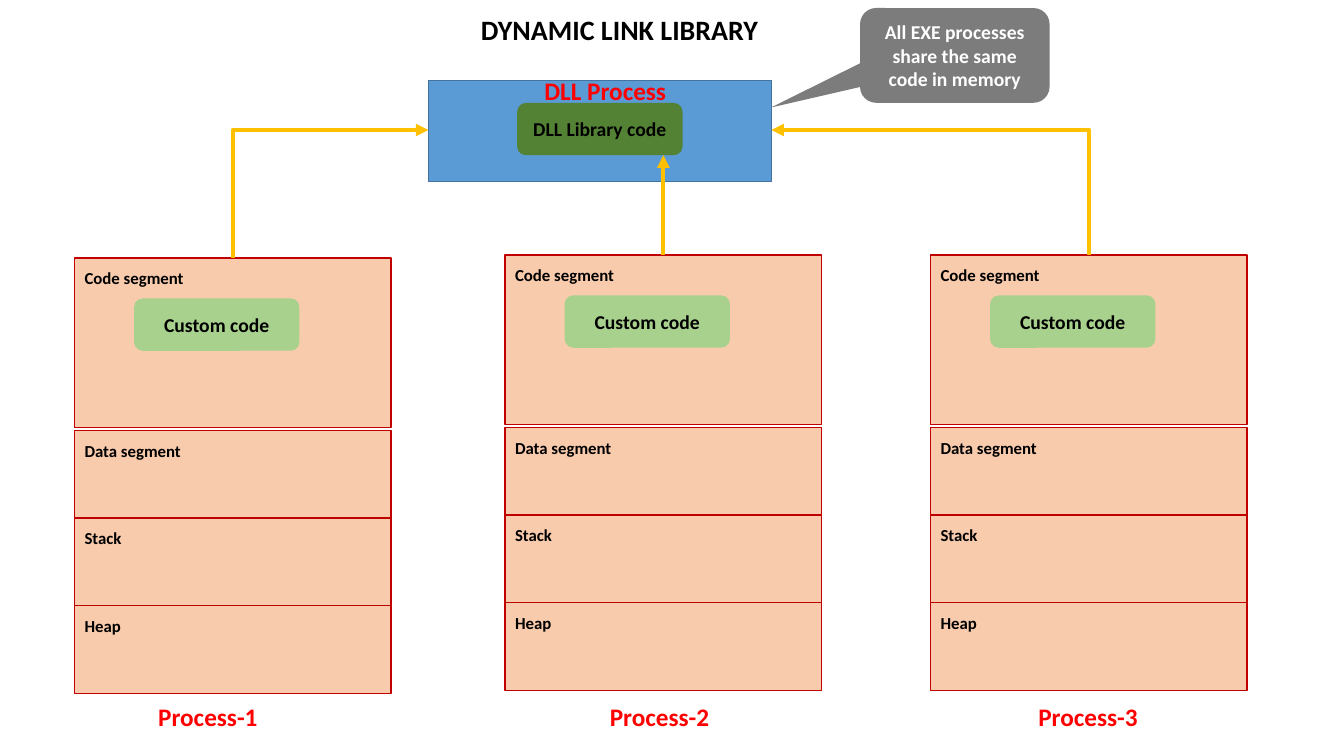
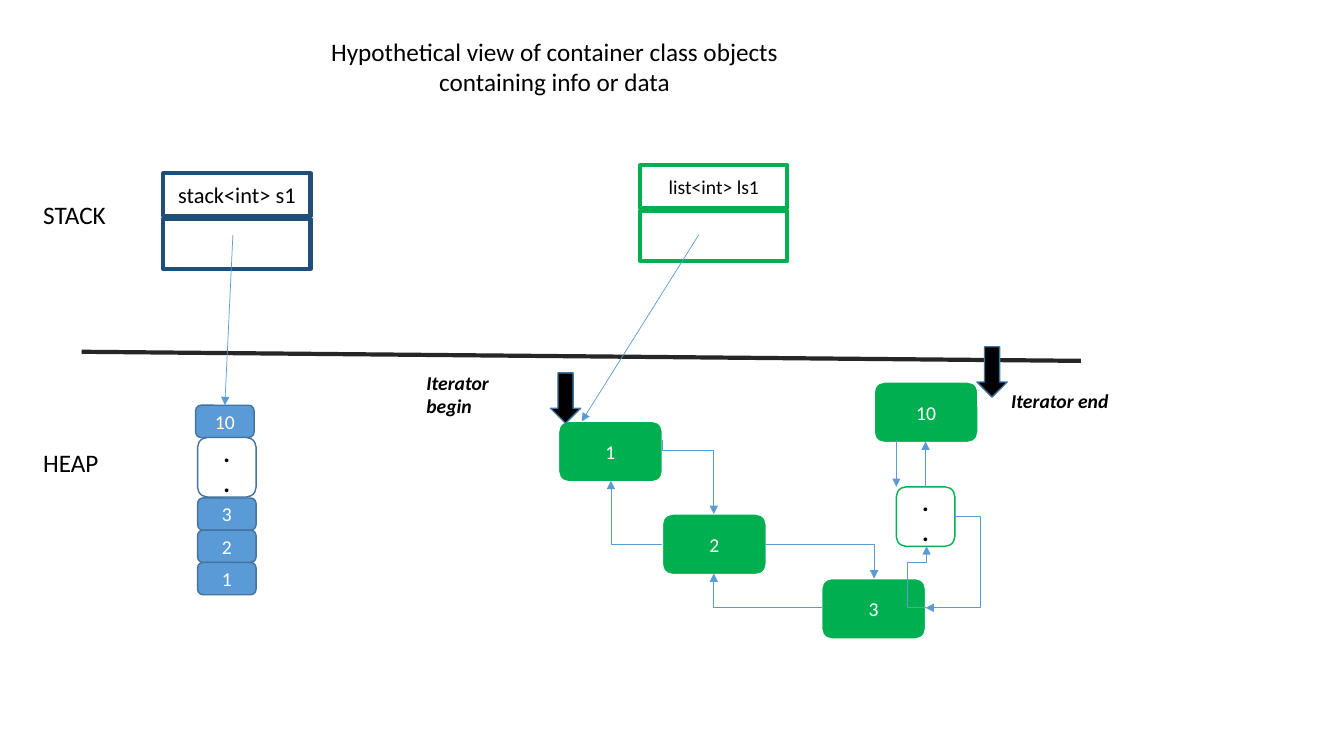
from lxml import etree
from pptx import Presentation
from pptx.dml.color import RGBColor
from pptx.enum.shapes import MSO_CONNECTOR, MSO_SHAPE
from pptx.enum.text import MSO_ANCHOR, MSO_AUTO_SIZE, PP_ALIGN
from pptx.oxml.ns import qn
from pptx.util import Inches, Pt

RECT, ROUND = MSO_SHAPE.RECTANGLE, MSO_SHAPE.ROUNDED_RECTANGLE
CALLOUT, DOWN = MSO_SHAPE.ROUNDED_RECTANGULAR_CALLOUT, MSO_SHAPE.DOWN_ARROW
STRAIGHT, ELBOW = MSO_CONNECTOR.STRAIGHT, MSO_CONNECTOR.ELBOW
LEFT, CENTER = PP_ALIGN.LEFT, PP_ALIGN.CENTER
TOP, MIDDLE = MSO_ANCHOR.TOP, MSO_ANCHOR.MIDDLE
GROW = MSO_AUTO_SIZE.SHAPE_TO_FIT_TEXT

BLACK, WHITE = RGBColor(0, 0, 0), RGBColor(255, 255, 255)
BLUE, BLUE_EDGE = RGBColor(0x5B, 0x9B, 0xD5), RGBColor(0x43, 0x73, 0x9E)
NAVY, CHARCOAL = RGBColor(0x1F, 0x4E, 0x79), RGBColor(0x26, 0x26, 0x26)
PEACH, DARK_RED = RGBColor(0xF8, 0xCB, 0xAD), RGBColor(0xC0, 0, 0)
RED, AMBER = RGBColor(0xFF, 0, 0), RGBColor(0xFF, 0xC0, 0)
LIGHT_GREEN, MOSS = RGBColor(0xA9, 0xD1, 0x8E), RGBColor(0x54, 0x82, 0x35)
GREEN, GREY = RGBColor(0, 0xB0, 0x50), RGBColor(0x7C, 0x7C, 0x7C)

FONT = "Calibri"
SLIDE_WIDTH, SLIDE_HEIGHT = 13.33, 7.5

# Slide 1: processes sharing one library
DLL_TITLE = ("DYNAMIC LINK LIBRARY", (3.82, 0.08, 4.65, 0.44))
DLL_BOX = (4.25, 0.8, 3.4, 1)
CODE_SIZE = (1.64, 0.52)
LIBRARY_AT = (5.13, 1.02)
SHARING_NOTE = "All EXE processes share the same code in memory"
PROCESSES = [  # name, left and top of the segments, left of the name
    ("Process-1", 0.74, 2.56, 1.47),
    ("Process-2", 5.01, 2.53, 5.95),
    ("Process-3", 9.23, 2.53, 10.2),
]
SEGMENT_WIDTH, CODE_HEIGHT, SEGMENT_HEIGHT = 3.14, 1.68, 0.87
SEGMENTS = ["Code segment", "Data segment", "Stack", "Heap"]
CALLS = [  # start, end, first leg is vertical
    ((2.31, 2.56), (4.25, 1.29)),
    ((6.58, 2.53), (6.58, 1.54)),
    ((10.8, 2.53), (7.65, 1.29)),
]

# Slide 2: containers in memory
VIEW_TITLE = ("Hypothetical view of container class objects containing info or data",
              (3.12, 0.31, 4.76, 0.71))
REGIONS = [("STACK", (0.33, 1.93, 1.4, 0.4)), ("HEAP", (0.33, 4.39, 0.96, 0.42))]
DIVIDER = ((0.81, 3.49), (10.72, 3.58))
OBJECTS = [  # declaration, left, top, border, text size
    ("stack<int> s1", 1.62, 1.72, NAVY, 16),
    ("list<int> ls1", 6.35, 1.64, GREEN, 14),
]
STACK_CELL = (0.58, 0.32)
STACK_CELLS = [("10", 1.94, 4.02), ("3", 1.96, 4.94), ("2", 1.96, 5.26), ("1", 1.96, 5.58)]
NODE_SIZE = (1.03, 0.6)
NODES = [("1", 5.54, 4.18), ("2", 6.57, 5.1), ("3", 8.15, 5.74), ("10", 8.67, 3.79)]
DOTS_SIZE = (0.58, 0.59)
DOTS = [(1.96, 4.34, BLUE_EDGE), (8.89, 4.83, GREEN)]
POINTERS = [
    ((2.31, 2.33), (2.23, 4.02)),
    ((6.93, 2.33), (5.77, 4.18)),
    ((8.89, 4.37), (8.89, 4.83)),
    ((9.18, 4.83), (9.18, 4.38)),
]
LINKS = [  # start, end, first leg is vertical, bend positions
    ((6.57, 4.37), (7.08, 5.1), True, [0.14]),
    ((6.57, 5.4), (6.06, 4.77), False, []),
    ((7.6, 5.4), (8.67, 5.74), False, []),
    ((8.15, 6.03), (7.08, 5.69), False, []),
    ((9.18, 6.03), (9.19, 5.42), False, [-18, 0.74]),
    ((9.47, 5.12), (9.18, 6.03), False, [-0.86]),
]
ITERATORS = [  # label, its box, left and top of the arrow
    ("Iterator begin", (4.13, 3.63, 1.18, 0.57), (5.46, 3.7)),
    ("Iterator end", (9.93, 3.81, 1.18, 0.34), (9.69, 3.44)),
]
ARROW_SIZE = (0.3, 0.5)


def inches(values):
    """Turn plain numbers into lengths."""
    return [Inches(value) for value in values]


def write(frame, text, size, color, align, anchor, **style):
    """Fill a text frame, one paragraph for each line of text."""
    frame.word_wrap, frame.vertical_anchor = True, anchor
    for number, line in enumerate(text.split("\n")):
        para = frame.paragraphs[0] if number == 0 else frame.add_paragraph()
        para.alignment = align
        span = para.add_run()
        span.text = line
        span.font.color.rgb = color
        for key, value in {"name": FONT, "size": Pt(size), **style}.items():
            setattr(span.font, key, value)


def label(shapes, text, at, size=18, color=BLACK, align=LEFT, **style):
    """Add a text box."""
    box = shapes.add_textbox(*inches(at))
    write(box.text_frame, text, size, color, align, TOP, **style)
    box.text_frame.auto_size = GROW


def title(page, content, **style):
    """Add the centred heading of a slide."""
    label(page.shapes, *content, align=CENTER, **style)


def block(shapes, kind, at, fill, edge=None, weight=1, text="", size=14,
          color=WHITE, **style):
    """Add a filled shape with optional border and centred text."""
    box = shapes.add_shape(kind, *inches(at))
    box.shadow.inherit = False
    box.fill.solid()
    box.fill.fore_color.rgb = fill
    if edge is None:
        box.line.fill.background()
    else:
        box.line.color.rgb = edge
        box.line.width = Pt(weight)
    if text:
        write(box.text_frame, text, size, color, CENTER, MIDDLE, **style)
    return box


def connect(page, kind, start, end, color, weight, arrow=True):
    """Add a connector without shadow, pointing at its end."""
    line = page.shapes.add_connector(kind, *inches(start + end))
    line.line.color.rgb = color
    line.line.width = Pt(weight)
    if arrow:
        etree.SubElement(line.line._get_or_add_ln(), qn("a:tailEnd"), type="triangle")
    etree.SubElement(line._element.spPr, qn("a:effectLst"))
    return line


def elbow(page, start, end, color, weight, vertical, bends):
    """Add a bent connector; a vertical first leg is a turned horizontal one."""
    turn = 0
    if vertical:
        across, down = end[0] - start[0], end[1] - start[1]
        turn, local = (90, (down, -across)) if down > 0 else (270, (-down, across))
        centre = [(a + b) / 2 for a, b in zip(start, end)]
        start = tuple(c - part / 2 for c, part in zip(centre, local))
        end = tuple(c + part / 2 for c, part in zip(centre, local))
    line = connect(page, ELBOW, start, end, color, weight)
    properties = line._element.spPr
    if turn:
        properties.find(qn("a:xfrm")).set("rot", str(turn * 60000))
    geometry = properties.find(qn("a:prstGeom"))
    geometry.set("prst", f"bentConnector{len(bends) + 2}")
    guides = geometry.find(qn("a:avLst"))
    for number, bend in enumerate(bends, 1):
        etree.SubElement(guides, qn("a:gd"), name=f"adj{number}",
                         fmla=f"val {round(bend * 100000)}")


def process(page, name, left, top, name_left):
    """Add one process: its stacked segments, custom code and name."""
    shapes = page.shapes.add_group_shape().shapes
    for row, segment in enumerate(SEGMENTS):
        y = top + (CODE_HEIGHT + 0.03 + (row - 1) * SEGMENT_HEIGHT if row else 0)
        height = SEGMENT_HEIGHT if row else CODE_HEIGHT
        block(shapes, RECT, (left, y, SEGMENT_WIDTH, height), PEACH, DARK_RED)
        label(shapes, segment, (left, y + 0.05, 1.41, 0.3), 12, bold=True)
    block(shapes, ROUND, (left + 0.59, top + 0.4, *CODE_SIZE), LIGHT_GREEN,
          text="Custom code", color=BLACK, bold=True)
    label(page.shapes, name, (name_left, 6.91, 1.25, 0.4), color=RED, bold=True)


def build_library(page):
    """Draw three processes that call one shared library."""
    shapes = page.shapes
    block(shapes, RECT, DLL_BOX, BLUE, BLUE_EDGE)
    block(shapes, ROUND, (*LIBRARY_AT, *CODE_SIZE), MOSS,
          text="DLL Library code", color=BLACK, bold=True)
    for entry in PROCESSES:
        process(page, *entry)
    title(page, DLL_TITLE, size=20, bold=True)
    label(shapes, "DLL Process", (5.3, 0.7, 1.68, 0.4), color=RED, bold=True)
    for start, end in CALLS:
        bends = [0.5] if start[0] == end[0] else []
        elbow(page, start, end, AMBER, 3, True, bends)
    note = block(shapes, CALLOUT, (8.53, 0.08, 1.88, 0.94), GREY,
                 text=SHARING_NOTE, bold=True)
    for number, value in enumerate((-0.97, 0.55, 0.17)):
        note.adjustments[number] = value


def build_containers(page):
    """Draw a stack and a list with their elements on the heap."""
    shapes = page.shapes
    title(page, VIEW_TITLE)
    for text, at in REGIONS:
        label(shapes, text, at)
    connect(page, STRAIGHT, *DIVIDER, CHARCOAL, 3, arrow=False)
    for text, left, top, edge, size in OBJECTS:
        block(shapes, RECT, (left, top, 1.46, 0.42), WHITE, edge, 3, text, size, BLACK)
        block(shapes, RECT, (left, top + 0.45, 1.46, 0.5), WHITE, edge, 3)
    for cells, size, fill, edge in ((STACK_CELLS, STACK_CELL, BLUE, BLUE_EDGE),
                                    (NODES, NODE_SIZE, GREEN, WHITE)):
        for text, left, top in cells:
            block(shapes, ROUND, (left, top, *size), fill, edge, text=text)
    for left, top, edge in DOTS:
        block(shapes, ROUND, (left, top, *DOTS_SIZE), WHITE, edge, text=".\n.",
              size=18, color=BLACK, bold=True)
    for start, end in POINTERS:
        connect(page, STRAIGHT, start, end, BLUE, 0.5)
    for start, end, vertical, bends in LINKS:
        elbow(page, start, end, BLUE, 0.5, vertical, bends)
    for text, at, corner in ITERATORS:
        block(shapes, DOWN, (*corner, *ARROW_SIZE), BLACK, BLUE_EDGE)
        label(shapes, text, at, 14, bold=True, italic=True)


deck = Presentation()
deck.slide_width, deck.slide_height = inches((SLIDE_WIDTH, SLIDE_HEIGHT))
for build in (build_library, build_containers):
    build(deck.slides.add_slide(deck.slide_layouts[6]))
deck.save("out.pptx")
